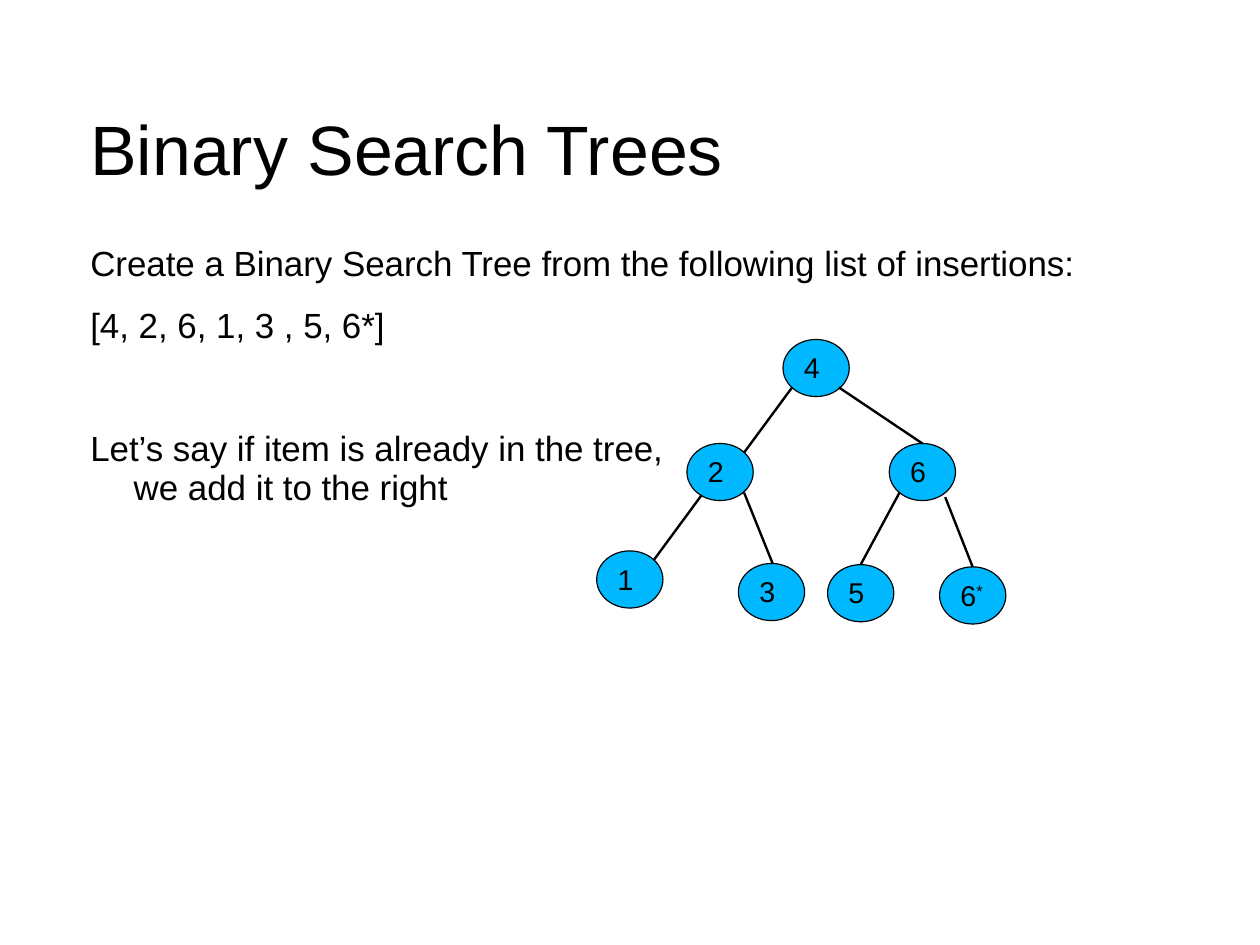
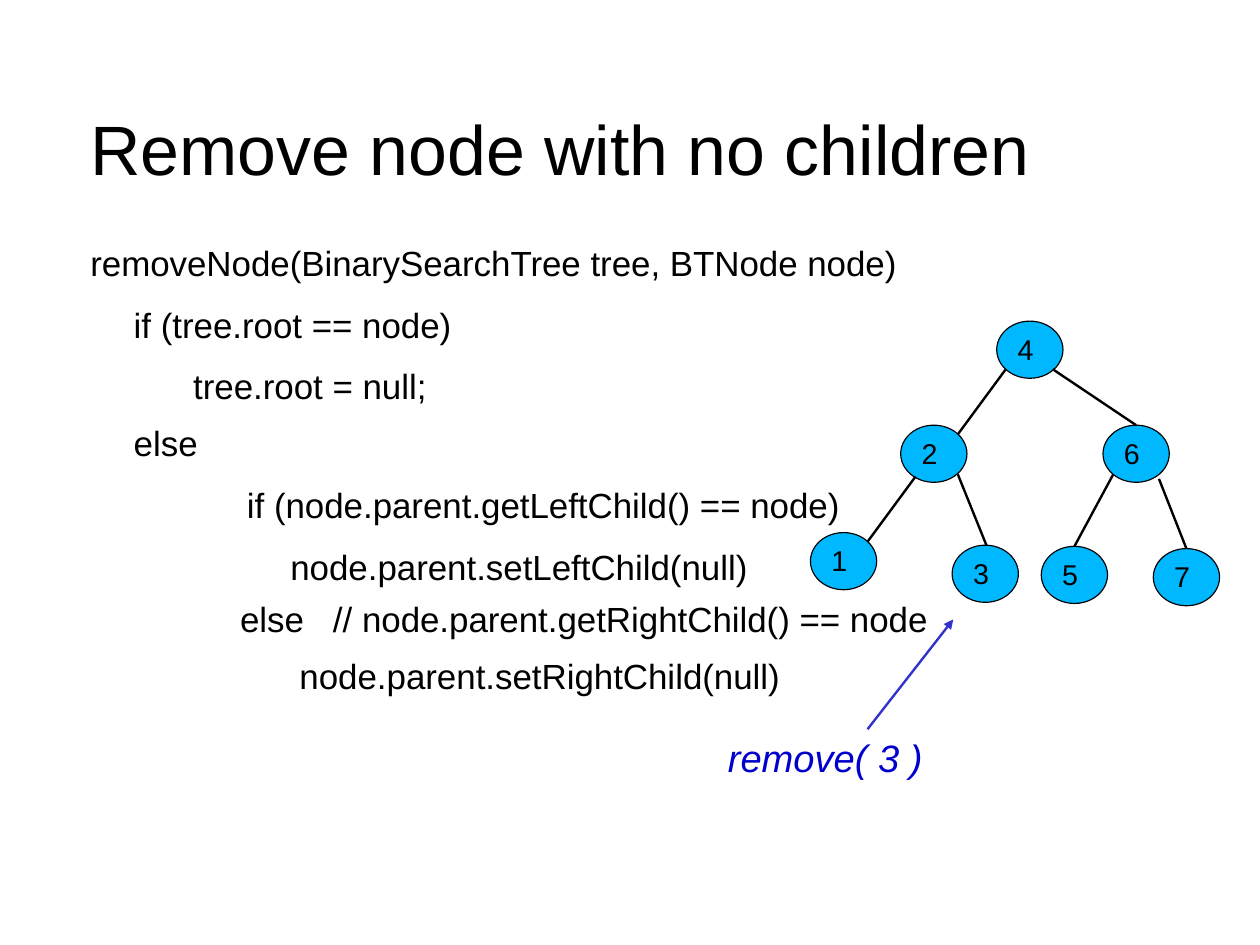
from dataclasses import dataclass

from pptx import Presentation
from pptx.dml.color import RGBColor
from pptx.enum.shapes import MSO_CONNECTOR, MSO_SHAPE
from pptx.enum.text import MSO_ANCHOR, PP_ALIGN
from pptx.oxml.ns import qn
from pptx.util import Inches, Pt
from lxml import etree

STRAIGHT = MSO_CONNECTOR.STRAIGHT
OVAL = MSO_SHAPE.OVAL
TOP, MIDDLE = MSO_ANCHOR.TOP, MSO_ANCHOR.MIDDLE
LEFT = PP_ALIGN.LEFT


@dataclass(frozen=True)
class Theme:
    font: str = "Arial"
    ink: str = "000000"
    node: str = "00B8FF"
    arrow: str = "3333CC"
    call: str = "0000CC"
    title: int = 44
    body: int = 22
    label: int = 18
    note: int = 24
    pitch: float = 0.93
    rim: float = 0.75
    edge: float = 1.5


@dataclass(frozen=True)
class Line:
    text: str
    left: float = 0
    hang: float = 0
    after: float = 14.2
    before: float = 0


THEME = Theme()
HEAD = (0.79, 0.62, 9.25, 1.37)
BODY = (0.79, 2.13, 9.68, 5.26)
NODE = (0.58, 0.5)
SPOTS = [(1.63, 0), (0.79, 0.91), (2.56, 0.91), (0, 1.85),
         (1.24, 1.96), (2.02, 1.97), (3, 1.99)]
EDGES = [
    ((1.71, 0.42), (1.29, 0.99)),
    ((2.12, 0.42), (2.85, 0.91)),
    ((0.92, 1.36), (0.5, 1.93)),
    ((1.29, 1.34), (1.54, 1.96)),
    ((2.65, 1.34), (2.31, 1.97)),
    ((3.05, 1.38), (3.29, 1.99)),
]

TASK = [
    Line("Create a Binary Search Tree from the following list of insertions:"),
    Line("[4, 2, 6, 1, 3 , 5, 6*]"),
    Line("Let’s say if item is already in the tree,\vwe add it to the right",
         0.38, -0.38, before=38.8),
]
CODE = [
    Line("removeNode(BinarySearchTree tree, BTNode node)"),
    Line("if (tree.root == node)", 0.38),
    Line("tree.root = null;", 0.9, after=11.4),
    Line("else", 0.38),
    Line("if (node.parent.getLeftChild() == node)", 1.37),
    Line("node.parent.setLeftChild(null)", 1.75, after=8.5),
    Line("else   // node.parent.getRightChild() == node", 1.31, after=11.4),
    Line("node.parent.setRightChild(null)", 1.83, after=8.5),
]


def write(shape, lines, size, color=THEME.ink, italic=False, anchor=TOP,
          inset=(0.1, 0.05, 0.1, 0.05), raised=""):
    frame = shape.text_frame
    frame.word_wrap = True
    frame.vertical_anchor = anchor
    (frame.margin_left, frame.margin_top,
     frame.margin_right, frame.margin_bottom) = map(Inches, inset)
    for i, line in enumerate(lines):
        para = frame.add_paragraph() if i else frame.paragraphs[0]
        props = para._p.get_or_add_pPr()
        props.set("marL", str(Inches(line.left)))
        props.set("indent", str(Inches(line.hang)))
        para.text = line.text
        para.alignment = LEFT
        para.line_spacing = THEME.pitch
        para.space_before = Pt(line.before)
        para.space_after = Pt(line.after)
        if raised:
            run = para.add_run()
            run.text = raised
            run._r.get_or_add_rPr().set("baseline", "30000")
        for run in para.runs:
            run.font.name = THEME.font
            run.font.size = Pt(size)
            run.font.italic = italic
            run.font.color.rgb = RGBColor.from_string(color)


def panel(slide, box, lines, size, **style):
    write(slide.shapes.add_textbox(*map(Inches, box)), lines, size, **style)


def link(slide, start, end, color=THEME.ink, head=False):
    wire = slide.shapes.add_connector(STRAIGHT, *map(Inches, start + end))
    wire.line.color.rgb = RGBColor.from_string(color)
    wire.line.width = Pt(THEME.edge)
    if head:
        tip = etree.SubElement(wire.line._get_or_add_ln(), qn("a:tailEnd"))
        tip.set("type", "triangle")
    etree.SubElement(wire._element.spPr, qn("a:effectLst"))


def tree(slide, left, top, keys):
    def at(spot):
        return left + spot[0], top + spot[1]

    for key, spot in zip(keys, SPOTS):
        node = slide.shapes.add_shape(OVAL, *map(Inches, at(spot) + NODE))
        node.shadow.inherit = False
        node.fill.solid()
        node.fill.fore_color.rgb = RGBColor.from_string(THEME.node)
        node.line.color.rgb = RGBColor.from_string(THEME.ink)
        node.line.width = Pt(THEME.rim)
        write(node, [Line(key[0], after=0)], THEME.label, anchor=MIDDLE,
              inset=(0.1, 0.06, 0, 0.04), raised=key[1:])
    for start, end in EDGES:
        link(slide, at(start), at(end))


def call(slide, left, top, text):
    link(slide, (left + 1.32, top - 0.03), (left + 2.07, top - 0.99),
         THEME.arrow, head=True)
    panel(slide, (left, top, 2.23, 0.48), [Line(text, after=0)], THEME.note,
          color=THEME.call, italic=True)


def page(deck, title, lines):
    slide = deck.slides.add_slide(deck.slide_layouts[6])
    panel(slide, HEAD, [Line(title, after=0)], THEME.title, anchor=MIDDLE,
          inset=(0, 0.06, 0, 0))
    panel(slide, BODY, lines, THEME.body, inset=(0, 0.02, 0, 0))
    return slide


def main():
    deck = Presentation()
    deck.slide_width = Inches(28 / 2.54)
    deck.slide_height = Inches(21 / 2.54)
    build = page(deck, "Binary Search Trees", TASK)
    tree(build, 5.22, 2.97, ["4", "2", "6", "1", "3", "5", "6*"])
    cut = page(deck, "Remove node with no children", CODE)
    tree(cut, 7.09, 2.81, ["4", "2", "6", "1", "3", "5", "7"])
    call(cut, 6.27, 6.41, "remove( 3 )")
    deck.save("out.pptx")


if __name__ == "__main__":
    main()
